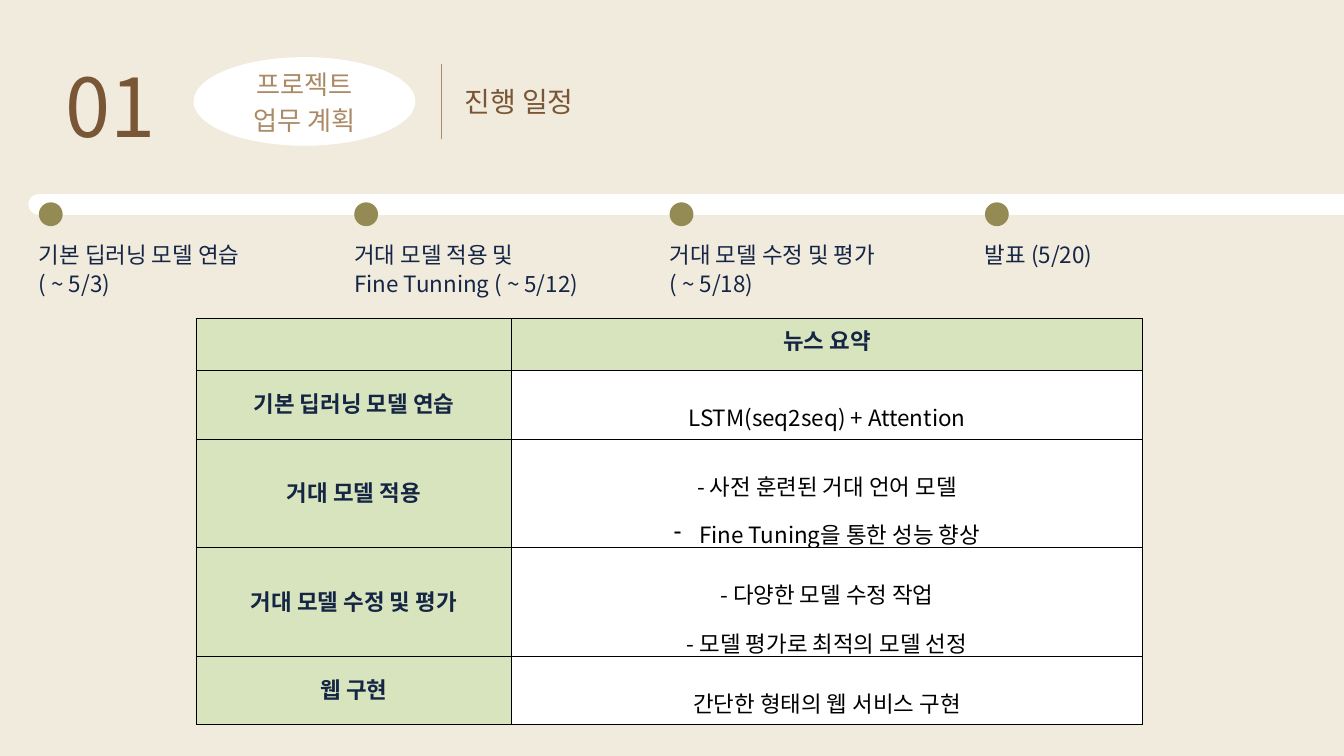
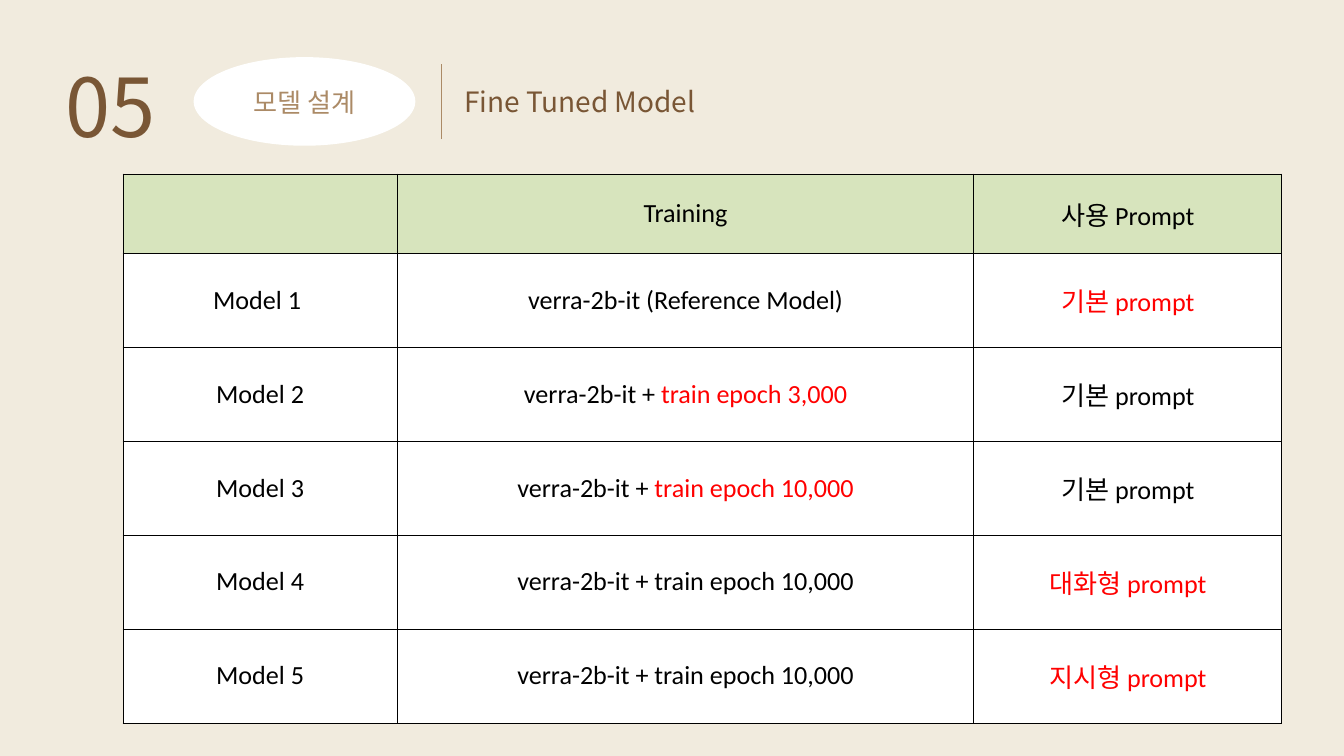
from pptx import Presentation
from pptx.dml.color import RGBColor
from pptx.enum.shapes import MSO_CONNECTOR, MSO_SHAPE
from pptx.enum.text import MSO_ANCHOR, MSO_AUTO_SIZE, PP_ALIGN
from pptx.oxml.ns import qn
from pptx.util import Cm, Pt
from lxml.etree import SubElement

CREAM = RGBColor(0xF1, 0xEB, 0xDE)
WHITE = RGBColor(0xFF, 0xFF, 0xFF)
BLACK = RGBColor(0x00, 0x00, 0x00)
RED = RGBColor(0xFF, 0x00, 0x00)
BROWN = RGBColor(0x79, 0x56, 0x35)
TAN = RGBColor(0xAB, 0x8A, 0x66)
NAVY = RGBColor(0x15, 0x25, 0x44)
OLIVE = RGBColor(0x94, 0x8A, 0x54)
GREEN = RGBColor(0xD7, 0xE4, 0xBD)

HANGUL_FONT = "Noto Sans CJK KR"
LATIN_FONT = "Calibri"


class Deck:
    """Holds the shared style and the slide being drawn."""

    def __init__(self):
        self.deck = Presentation()
        self.deck.slide_width = Cm(50.8)
        self.deck.slide_height = Cm(28.58)
        self.page = None

    def new_page(self, number, topic, title):
        self.page = self.deck.slides.add_slide(self.deck.slide_layouts[6])
        fill = self.page.background.fill
        fill.solid()
        fill.fore_color.rgb = CREAM

        # Header: number, topic in an oval, divider, title
        topic_height = 1.38 * len(topic)
        self.oval(7.32, 2.16, 8.38, 3.35, WHITE)
        self.line(16.69, 5.26, 16.69, 2.41, TAN, 1.5)
        self.text(2.49, 1.5, 3.84, 4.01, [number], 87, BROWN, 121.9)
        self.text(9.17, 3.75 - topic_height / 2, 4.65, topic_height, topic,
                  28, TAN, 39.3, PP_ALIGN.CENTER)
        self.text(17.55, 3.02, 16, 1.35, [title], 30, BROWN, 41.5)

    def oval(self, left, top, width, height, color):
        shape = self.page.shapes.add_shape(
            MSO_SHAPE.OVAL, Cm(left), Cm(top), Cm(width), Cm(height))
        shape.shadow.inherit = False
        shape.fill.solid()
        shape.fill.fore_color.rgb = color
        shape.line.fill.background()

    def line(self, x1, y1, x2, y2, color, width, round_cap=False):
        connector = self.page.shapes.add_connector(
            MSO_CONNECTOR.STRAIGHT, Cm(x1), Cm(y1), Cm(x2), Cm(y2))
        connector.line.color.rgb = color
        connector.line.width = Pt(width)
        if round_cap:
            connector.line._get_or_add_ln().set("cap", "rnd")
        SubElement(connector._element.spPr, qn("a:effectLst"))

    def text(self, left, top, width, height, lines, size, color, spacing,
             align=PP_ALIGN.LEFT):
        box = self.page.shapes.add_textbox(
            Cm(left), Cm(top), Cm(width), Cm(height))
        frame = box.text_frame
        frame.word_wrap = True
        frame.auto_size = MSO_AUTO_SIZE.SHAPE_TO_FIT_TEXT
        frame.margin_left = frame.margin_right = 0
        frame.margin_top = frame.margin_bottom = 0
        frame.text = "\n".join(lines)
        self.format(frame, size, color, align, Pt(spacing))

    def format(self, frame, size, color, align, spacing=None,
               font=HANGUL_FONT, bold=False):
        for paragraph in frame.paragraphs:
            paragraph.alignment = align
            paragraph.line_spacing = spacing
            for span in paragraph.runs:
                span.font.size = Pt(size)
                span.font.bold = bold
                span.font.name = font
                span.font.color.rgb = color
                east_asian = SubElement(span.font._element, qn("a:ea"))
                east_asian.set("typeface", HANGUL_FONT)

    def table(self, left, top, widths, heights):
        frame = self.page.shapes.add_table(
            len(heights), len(widths), Cm(left), Cm(top),
            Cm(sum(widths)), Cm(sum(heights)))
        table = frame.table
        for column, width in zip(table.columns, widths):
            column.width = Cm(width)
        for row, height in zip(table.rows, heights):
            row.height = Cm(height)
        return table

    def cell(self, cell, text, fill, size, color, margin=None, **style):
        cell.fill.solid()
        cell.fill.fore_color.rgb = fill
        cell.vertical_anchor = MSO_ANCHOR.MIDDLE
        self.borders(cell)
        if not text:
            return
        if margin is not None:
            cell.margin_left = cell.margin_right = Cm(margin)
            cell.margin_top = cell.margin_bottom = Cm(margin)
        cell.text_frame.text = text
        self.format(cell.text_frame, size, color, PP_ALIGN.CENTER, **style)

    def borders(self, cell):
        properties = cell._tc.get_or_add_tcPr()
        for index, side in enumerate(("a:lnL", "a:lnR", "a:lnT", "a:lnB")):
            edge = SubElement(properties, qn(side), w=str(Pt(1)))
            fill = SubElement(edge, qn("a:solidFill"))
            SubElement(fill, qn("a:srgbClr"), val=str(BLACK))
            properties.insert(index, edge)

    def dash(self, paragraph):
        properties = paragraph._p.get_or_add_pPr()
        properties.set("marL", str(Cm(0.95)))
        properties.set("indent", str(-Cm(0.95)))
        SubElement(properties, qn("a:buChar"), char="-")


def schedule_page(deck):
    deck.new_page("01", ["프로젝트", "업무 계획"], "진행 일정")

    # Timeline
    milestones = [
        ["기본 딥러닝 모델 연습", "( ~ 5/3)"],
        ["거대 모델 적용 및", "Fine Tunning ( ~ 5/12)"],
        ["거대 모델 수정 및 평가", "( ~ 5/18)"],
        ["발표 (5/20)"],
    ]
    deck.line(1.47, 7.72, 54.53, 7.72, WHITE, 22.5, round_cap=True)
    for index, lines in enumerate(milestones):
        left = 1.47 + 11.92 * index
        deck.oval(left, 7.65, 0.9, 0.9, OLIVE)
        deck.text(left, 9.02, 9.8, 1.1 * len(lines), lines, 24, NAVY, 31.2)

    # Work plan
    plan = [
        ("", "뉴스 요약"),
        ("기본 딥러닝 모델 연습", "LSTM(seq2seq) + Attention"),
        ("거대 모델 적용",
         "- 사전 훈련된 거대 언어 모델\nFine Tuning을 통한 성능 향상"),
        ("거대 모델 수정 및 평가",
         "- 다양한 모델 수정 작업\n- 모델 평가로 최적의 모델 선정"),
        ("웹 구현", "간단한 형태의 웹 서비스 구현"),
    ]
    table = deck.table(7.42, 12.04, [11.91, 23.85],
                       [1.97, 2.57, 4.11, 4.11, 2.57])
    for r, row in enumerate(plan):
        for c, text in enumerate(row):
            cell = table.cell(r, c)
            if r == 0 or c == 0:
                deck.cell(cell, text, GREEN, 24, NAVY, margin=0.53, bold=True,
                          spacing=Pt(31.2 if r else 25.2))
            else:
                deck.cell(cell, text, WHITE, 24, BLACK, margin=0.53,
                          spacing=1.5)
    deck.dash(table.cell(2, 1).text_frame.paragraphs[1])


def model_page(deck):
    deck.new_page("05", ["모델 설계"], "Fine Tuned Model")

    # Models, with what changes from the row above in red
    models = [
        ("", "Training", "사용 Prompt"),
        ("Model 1 ", "verra-2b-it (Reference Model)", "기본 prompt"),
        ("Model 2", "verra-2b-it + train epoch 3,000", "기본 prompt"),
        ("Model 3", "verra-2b-it + train epoch 10,000", "기본 prompt"),
        ("Model 4", "verra-2b-it + train epoch 10,000", "대화형 prompt"),
        ("Model 5", "verra-2b-it + train epoch 10,000", "지시형 prompt"),
    ]
    red_prompts = (1, 4, 5)
    red_epochs = (2, 3)
    table = deck.table(4.65, 6.58, [10.36, 21.8, 11.64], [3] + [3.55] * 5)
    for r, row in enumerate(models):
        for c, text in enumerate(row):
            color = RED if c == 2 and r in red_prompts else BLACK
            deck.cell(table.cell(r, c), text, WHITE if r else GREEN, 28,
                      color, font=LATIN_FONT)
    for r in red_epochs:
        frame = table.cell(r, 1).text_frame
        base, epoch = models[r][1].split("train")
        frame.text = base
        frame.paragraphs[0].add_run().text = "train" + epoch
        deck.format(frame, 28, BLACK, PP_ALIGN.CENTER, font=LATIN_FONT)
        frame.paragraphs[0].runs[1].font.color.rgb = RED


def main():
    deck = Deck()
    schedule_page(deck)
    model_page(deck)
    deck.deck.save("out.pptx")


if __name__ == "__main__":
    main()
